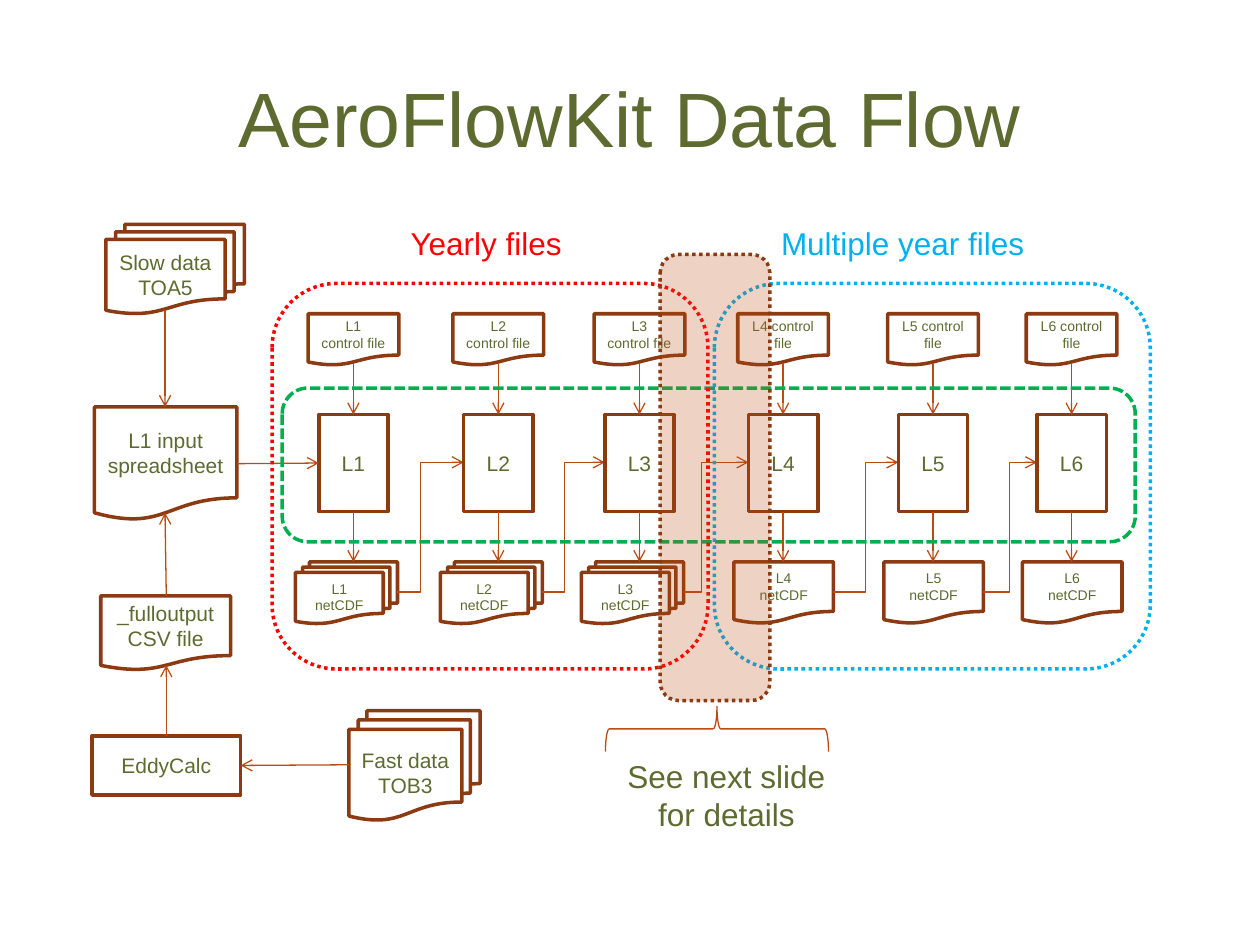
from lxml import etree
from pptx import Presentation
from pptx.dml.color import RGBColor
from pptx.enum.dml import MSO_LINE
from pptx.enum.shapes import MSO_CONNECTOR, MSO_SHAPE
from pptx.enum.text import MSO_ANCHOR, MSO_AUTO_SIZE, PP_ALIGN
from pptx.oxml.ns import qn
from pptx.util import Inches, Pt

PROCESS = MSO_SHAPE.FLOWCHART_PROCESS
DOCUMENT = MSO_SHAPE.FLOWCHART_DOCUMENT
MULTI = MSO_SHAPE.FLOWCHART_MULTIDOCUMENT
ROUNDED, BRACE = MSO_SHAPE.ROUNDED_RECTANGLE, MSO_SHAPE.LEFT_BRACE
STRAIGHT, ELBOW = MSO_CONNECTOR.STRAIGHT, MSO_CONNECTOR.ELBOW
DASH, DOT = MSO_LINE.SQUARE_DOT, MSO_LINE.ROUND_DOT
LEFT, CENTER = PP_ALIGN.LEFT, PP_ALIGN.CENTER
TOP_SIDE, LEFT_SIDE, BOTTOM_SIDE, RIGHT_SIDE = range(4)

FONT = "Arial"
OLIVE, BROWN, RUST = "5D6B30", "8C3A11", "BC4B12"
RED, BLUE, GREEN = "FF0000", "00B0F0", "00B050"

# Content: lengths in inches
TITLE = "AeroFlowKit Data Flow"
SOURCES = {  # name: (shape, text, box)
    "slow": (MULTI, "Slow data\nTOA5", (0.84, 1.78, 1.1, 0.71)),
    "sheet": (DOCUMENT, "L1 input spreadsheet", (0.75, 3.23, 1.13, 0.9)),
    "output": (DOCUMENT, "_fulloutput\nCSV file", (0.8, 4.73, 1.03, 0.59)),
    "eddy": (PROCESS, "EddyCalc", (0.73, 5.84, 1.18, 0.47)),
    "fast": (MULTI, "Fast data\nTOB3", (2.77, 5.64, 1.04, 0.87)),
}
# level, process left, control text, yearly, bend of the arrow to the next level
LEVELS = [
    ("L1", 2.53, "L1\ncontrol file", True, 3.34),
    ("L2", 3.68, "L2\ncontrol file", True, 4.48),
    ("L3", 4.8, "L3\ncontrol file", True, 5.57),
    ("L4", 5.94, "L4 control file", False, 6.87),
    ("L5", 7.13, "L5 control file", False, 8.01),
    ("L6", 8.23, "L6 control file", False, None),
]
REGIONS = [  # box, line colour, dash
    ((2.24, 3.08, 6.77, 1.22), GREEN, DASH),
    ((2.16, 2.25, 3.46, 3.06), RED, DOT),
    ((5.67, 2.25, 3.46, 3.06), BLUE, DOT),
]
HIGHLIGHT = (5.24, 2.02, 0.87, 3.54)
BRACE_BOX = (5.51, 4.9, 0.36, 1.77)
LABELS = [  # text, box, colour, alignment
    ("Yearly files", (3.16, 1.73, 1.52, 0.4), RED, LEFT),
    ("Multiple year files", (6.1, 1.73, 2.28, 0.4), BLUE, LEFT),
    ("See next slide for details", (4.8, 5.96, 1.93, 0.7), OLIVE, CENTER),
]

# Rows of the level grid
PROCESS_TOP, PROCESS_W, PROCESS_H = 3.29, 0.55, 0.77
PROCESS_MID = 3.67
CONTROL_TOP, CONTROL_W, CONTROL_H, CONTROL_END = 2.49, 0.72, 0.41, 2.88
NETCDF_TOP, NETCDF_H, NETCDF_MID = 4.46, 0.49, 4.7

prs = Presentation()
prs.slide_width, prs.slide_height = Inches(10), Inches(7.5)
slide = prs.slides.add_slide(prs.slide_layouts[5])


def rgb(color):
    return RGBColor.from_string(color)


def write(frame, text, size, color=OLIVE, align=CENTER):
    frame.text = text
    frame.word_wrap = True
    for paragraph in frame.paragraphs:
        paragraph.alignment = align
        paragraph.font.name, paragraph.font.size = FONT, Pt(size)
        paragraph.font.color.rgb = rgb(color)


def outline(kind, box, color=BROWN, width=2, dash=None):
    shape = slide.shapes.add_shape(kind, *map(Inches, box))
    shape.shadow.inherit = False
    shape.fill.background()
    shape.line.color.rgb, shape.line.width = rgb(color), Pt(width)
    if dash:
        shape.line.dash_style = dash
    return shape


def node(kind, text, box, size=12):
    shape = outline(kind, box)
    write(shape.text_frame, text, size)
    return shape


def arrow(start, end, begin=None, finish=None, bend=None):
    """Draw an arrow; begin and finish are (shape, side) pairs to join."""
    kind = ELBOW if bend else STRAIGHT
    link = slide.shapes.add_connector(kind, *map(Inches, (*start, *end)))
    if begin:
        link.begin_connect(*begin)
    if finish:
        link.end_connect(*finish)
    link.line.color.rgb, link.line.width = rgb(RUST), Pt(0.75)
    properties = link._element.spPr
    etree.SubElement(properties.find(qn("a:ln")), qn("a:tailEnd"), type="arrow")
    etree.SubElement(properties, qn("a:effectLst"))
    if bend:
        share = round((bend - start[0]) / (end[0] - start[0]) * 100000)
        guides = properties.find(qn("a:prstGeom")).get_or_add_avLst()
        etree.SubElement(guides, qn("a:gd"), name="adj1", fmla=f"val {share}")


# Title
title = slide.shapes.title
title.left, title.top, title.width, title.height = map(Inches, (0.5, 0.3, 9, 1.25))
write(title.text_frame, TITLE, 44)
title.text_frame.vertical_anchor = MSO_ANCHOR.MIDDLE

# Source files on the left
sources = {name: node(*source) for name, source in SOURCES.items()}
eddy = sources["eddy"]
arrow((1.31, 2.46), (1.31, 3.23))
arrow((1.32, 4.73), (1.31, 4.07))
arrow((1.32, 5.84), (1.32, 5.28), begin=(eddy, TOP_SIDE))
arrow((2.77, 6.07), (1.91, 6.07), finish=(eddy, RIGHT_SIDE))

# Levels: control file above, process in the middle, netCDF below
for index, (level, left, control, yearly, bend) in enumerate(LEVELS):
    center = left + PROCESS_W / 2
    process = node(PROCESS, level, (left, PROCESS_TOP, PROCESS_W, PROCESS_H))
    node(DOCUMENT, control,
         (center - CONTROL_W / 2, CONTROL_TOP, CONTROL_W, CONTROL_H), 8)
    kind, offset, width = (MULTI, 0.46, 0.81) if yearly else (DOCUMENT, 0.39, 0.79)
    netcdf_left = center - offset
    node(kind, f"{level}\nnetCDF", (netcdf_left, NETCDF_TOP, width, NETCDF_H), 8)

    arrow((center, CONTROL_END), (center, PROCESS_TOP), finish=(process, TOP_SIDE))
    arrow((center, PROCESS_TOP + PROCESS_H), (center, NETCDF_TOP),
          begin=(process, BOTTOM_SIDE))
    if index == 0:
        arrow((1.88, 3.68), (left, PROCESS_MID), finish=(process, LEFT_SIDE))
    if bend:
        next_left = LEVELS[index + 1][1]
        arrow((netcdf_left + width, NETCDF_MID), (next_left, PROCESS_MID), bend=bend)

# Regions, highlight and brace
for box, color, dash in REGIONS:
    outline(ROUNDED, box, color, dash=dash)
highlight = outline(ROUNDED, HIGHLIGHT, dash=DOT)
highlight.fill.solid()
highlight.fill.fore_color.rgb = rgb("BD4E17")
tint = highlight._element.spPr.find(qn("a:solidFill")).find(qn("a:srgbClr"))
etree.SubElement(tint, qn("a:alpha"), val="25000")
outline(BRACE, BRACE_BOX, RUST, 0.75).rotation = 90

# Labels
for text, box, color, align in LABELS:
    label = slide.shapes.add_textbox(*map(Inches, box))
    write(label.text_frame, text, 18, color, align)
    label.text_frame.auto_size = MSO_AUTO_SIZE.SHAPE_TO_FIT_TEXT

prs.save("out.pptx")
